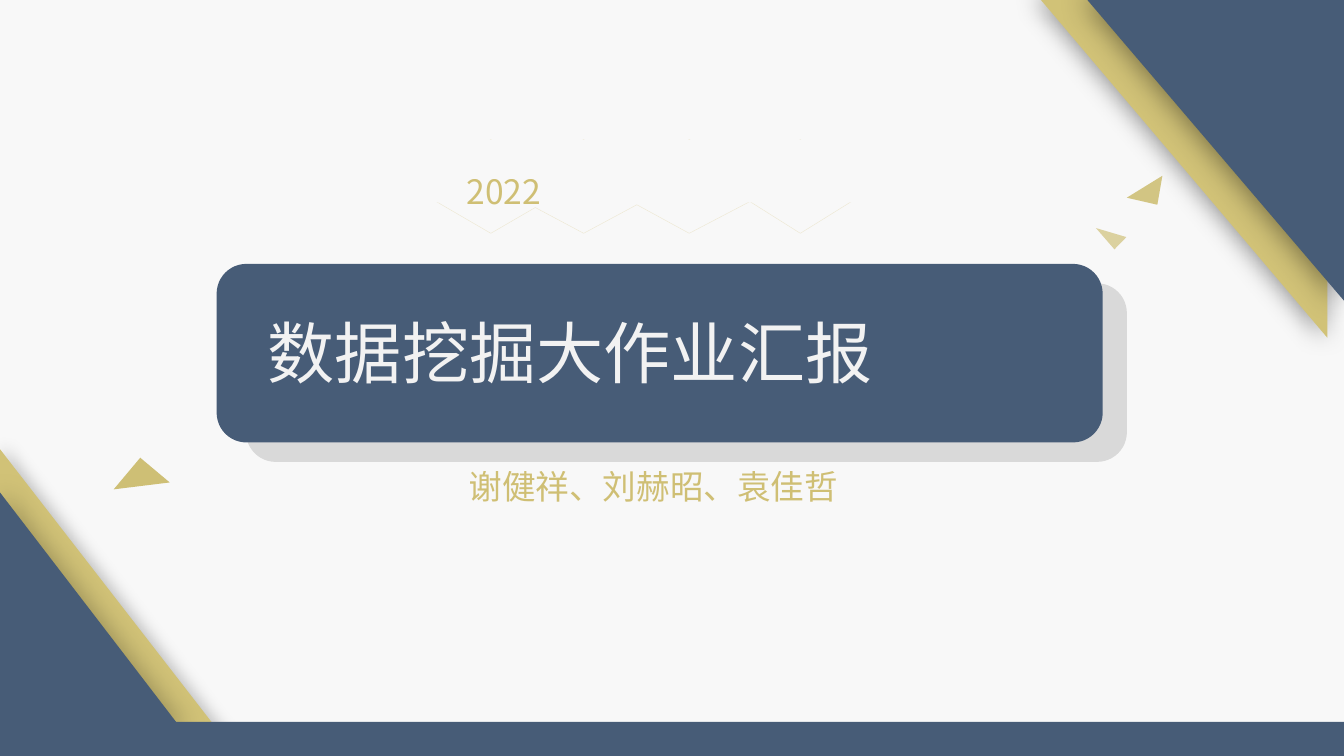
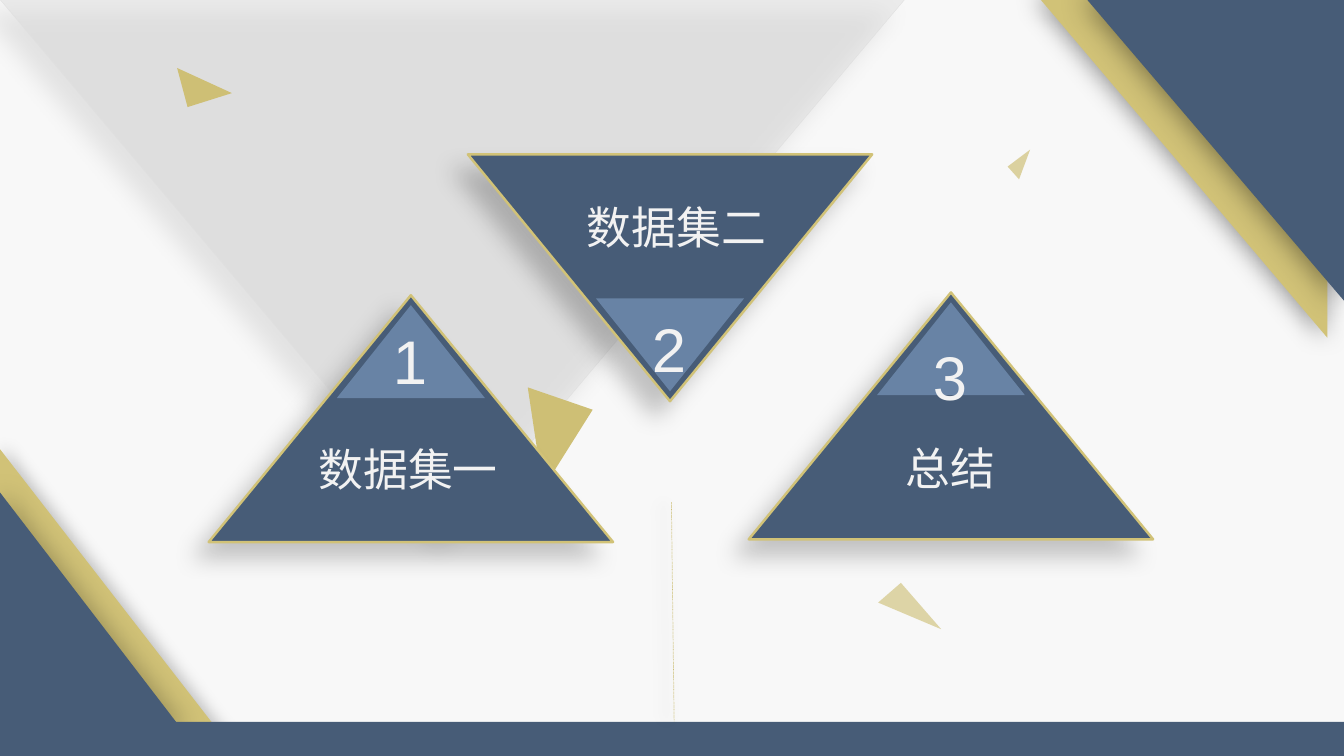
from lxml import etree
from pptx import Presentation
from pptx import util as u
from pptx.dml import color
from pptx.enum import dml, shapes, text
from pptx.oxml import ns

NAVY, STEEL = "475C77", "6883A5"
GOLD, SAND, BRASS, STRAW = "D1C277", "CEBF75", "C2AC49", "E0D5A3"
PALE, WASH, GREY, MIST = "F2F2F2", "F8F8F8", "D9D9D9", "DFDFDF"
FACE, HAN = "Arial", "Noto Sans CJK SC"
WIDE, HIGH = 33.87, 19.05
KIND = shapes.MSO_SHAPE
SOFT = (22, 17, 15, 135)


def tint(fill, code, node, alpha=100):
    fill.solid()
    fill.fore_color.rgb = color.RGBColor.from_string(code)
    if alpha < 100:
        for tone in node.iter(ns.qn("a:srgbClr")):
            etree.SubElement(tone, ns.qn("a:alpha"), val=str(alpha * 1000))


def shade(shape, cast=None):
    part = etree.SubElement(shape._element.spPr, ns.qn("a:effectLst"))
    if cast:
        alpha, blur, dist, angle = cast
        drop = etree.SubElement(
            part, ns.qn("a:outerShdw"), blurRad=str(u.Pt(blur)),
            dist=str(u.Pt(dist)), dir=str(angle * 60000), rotWithShape="0")
        tone = etree.SubElement(drop, ns.qn("a:srgbClr"), val="000000")
        etree.SubElement(tone, ns.qn("a:alpha"), val=str(alpha * 1000))


def form(host, kind, box, fill, alpha=100, turn=0, peak=None, edge=None, cast=None):
    shape = host.add_shape(kind, *map(u.Cm, box))
    shape.rotation = turn
    if peak is not None:
        shape.adjustments[0] = peak
    tint(shape.fill, fill, shape._element.spPr, alpha)
    if edge:
        code, width = edge
        tint(shape.line.fill, code, shape.line._get_or_add_ln())
        shape.line.width = u.Pt(width)
    else:
        shape.line.fill.background()
    shade(shape, cast)


def write(host, box, words, size, code, face=HAN, alpha=100, align=text.PP_ALIGN.LEFT):
    frame = host.add_textbox(*map(u.Cm, box)).text_frame
    frame.word_wrap = True
    frame.auto_size = text.MSO_AUTO_SIZE.SHAPE_TO_FIT_TEXT
    frame.text = words
    line = frame.paragraphs[0]
    line.alignment = align
    font = line.runs[0].font
    font.size = u.Pt(size)
    font.name = face
    tint(font.fill, code, font._element, alpha)
    etree.SubElement(font._element, ns.qn("a:ea"), typeface=HAN)


def base(host):
    form(host, KIND.RECTANGLE, (0, 0, WIDE, HIGH), PALE, 51)


def trim(host):
    for box, fill, turn, cast in (
        ((26.19, -0.05, 7.26, 8.56), GOLD, 180, (41, 18, 3, 180)),
        ((27.36, -0.05, 6.53, 7.65), NAVY, 180, (44, 21, 3, 180)),
        ((-0.03, 11.28, 5.87, 7.57), GOLD, 0, (24, 12, 3, 0)),
        ((-0.03, 12.37, 4.62, 6.02), NAVY, 0, (25, 18, 3, 0)),
    ):
        form(host, KIND.RIGHT_TRIANGLE, box, fill, turn=turn, cast=cast)
    form(host, KIND.RECTANGLE, (0, 18.19, WIDE, 0.86), NAVY)


def chips(host, rows):
    for box, turn, peak, alpha in rows:
        form(host, KIND.ISOSCELES_TRIANGLE, box, SAND, alpha, turn, peak)


def wave(host, left, mid):
    steps = ((0, 0), (2.03, 1.18), (3.15, 0.53), (4.37, 1.18), (5.71, 0.46),
             (7.03, 1.18), (8.56, 0.38), (9.83, 1.18), (11.73, 0))
    top = [(u.Cm(left + x), u.Cm(mid - y)) for x, y in steps]
    low = [(u.Cm(left + x), u.Cm(mid + y)) for x, y in steps[-2:0:-1]]
    path = host.build_freeform(*top[0], scale=1.0)
    path.add_line_segments(top[1:] + low, close=True)
    shape = path.convert_to_shape()
    shape.fill.background()
    tint(shape.line.fill, STRAW, shape.line._get_or_add_ln(), 50)
    shape.line.width = u.Pt(0.25)
    shade(shape)


def year(host, left, top):
    wave(host, left + 1.04, top + 1.17)
    form(host, KIND.RECTANGLE, (left, top, 14.66, 1.57), WASH)
    write(host, (left + 2.21, top + 0.66, 9.25, 1.27), "2022", 24, BRASS, alpha=74)


def plate(host, left, top):
    form(host, KIND.ROUNDED_RECTANGLE, (left + 0.74, top + 0.49, 22.2, 4.5), GREY)
    form(host, KIND.ROUNDED_RECTANGLE, (left, top, 22.33, 4.5), NAVY)
    write(host, (left + 1.04, top + 1.07, 20.27, 2.31), "数据挖掘大作业汇报", 48, PALE)


def tile(host, left, top, down, digit, rise, words, shift, drop):
    wide, high, cap, gap = 10.19, 6.22, 2.34, 0.25
    turn = 180 if down else 0
    form(host, KIND.ISOSCELES_TRIANGLE, (left, top, wide, high), NAVY,
         turn=turn, edge=(GOLD, 1.75), cast=SOFT)
    inset = high - gap - cap if down else gap
    form(host, KIND.ISOSCELES_TRIANGLE,
         (left + (wide - 3.73) / 2, top + inset, 3.73, cap), STEEL, turn=turn)
    write(host, (left + 4.39, top + rise, 1.88, 2.13), digit, 44, PALE, FACE)
    write(host, (left + shift, top + drop, 6.45, 1.63), words, 32, PALE, FACE,
          align=text.PP_ALIGN.CENTER)


def stem(host, start, end):
    line = host.add_connector(shapes.MSO_CONNECTOR.STRAIGHT, *map(u.Cm, start + end))
    tint(line.line.fill, SAND, line.line._get_or_add_ln())
    line.line.width = u.Pt(0.5)
    line.line.dash_style = dml.MSO_LINE.ROUND_DOT
    shade(line, (49, 10, 6, 180))


def cover(host):
    base(host)
    trim(host)
    chips(host, (
        ((3.05, 11.76, 1.04, 0.97), 130, 0, 100),
        ((27.66, 5.66, 0.71, 0.43), 49, 0.95, 68),
        ((28.47, 4.34, 0.79, 0.74), 13, 0.95, 89),
    ))
    year(host.add_group_shape().shapes, 9.3, 3.53)
    plate(host.add_group_shape().shapes, 5.46, 6.65)
    write(host, (11.56, 11.61, 10.03, 1.27), "谢健祥、刘赫昭、袁佳哲", 24, BRASS, alpha=74)


def agenda(host):
    base(host)
    form(host, KIND.ISOSCELES_TRIANGLE, (-0.03, -0.05, 22.86, 13.54), GREY, 39,
         180, edge=(MIST, 0.25), cast=SOFT)
    trim(host)
    stem(host, (16.92, 12.65), (16.99, 18.19))
    chips(host, (
        ((4.65, 1.47, 1.02, 1.17), 75, 0.95, 100),
        ((12.88, 9.98, 1.73, 2.29), 199, 0.31, 100),
        ((25.45, 3.94, 0.71, 0.43), 143, 0.95, 68),
        ((22.15, 15.14, 1.55, 0.76), 229, 1, 62),
    ))
    for row in (
        (5.26, 7.44, False, "1", 0.58, "数据集一", 1.8, 3.56),
        (11.79, 3.89, True, "2", 3.81, "数据集二", 2.03, 1.02),
        (18.87, 7.37, False, "3", 1.04, "总结", 1.85, 3.61),
    ):
        tile(host.add_group_shape().shapes, *row)


def main():
    deck = Presentation()
    deck.slide_width, deck.slide_height = u.Cm(WIDE), u.Cm(HIGH)
    for build in (cover, agenda):
        build(deck.slides.add_slide(deck.slide_layouts[6]).shapes)
    deck.save("out.pptx")


if __name__ == "__main__":
    main()
